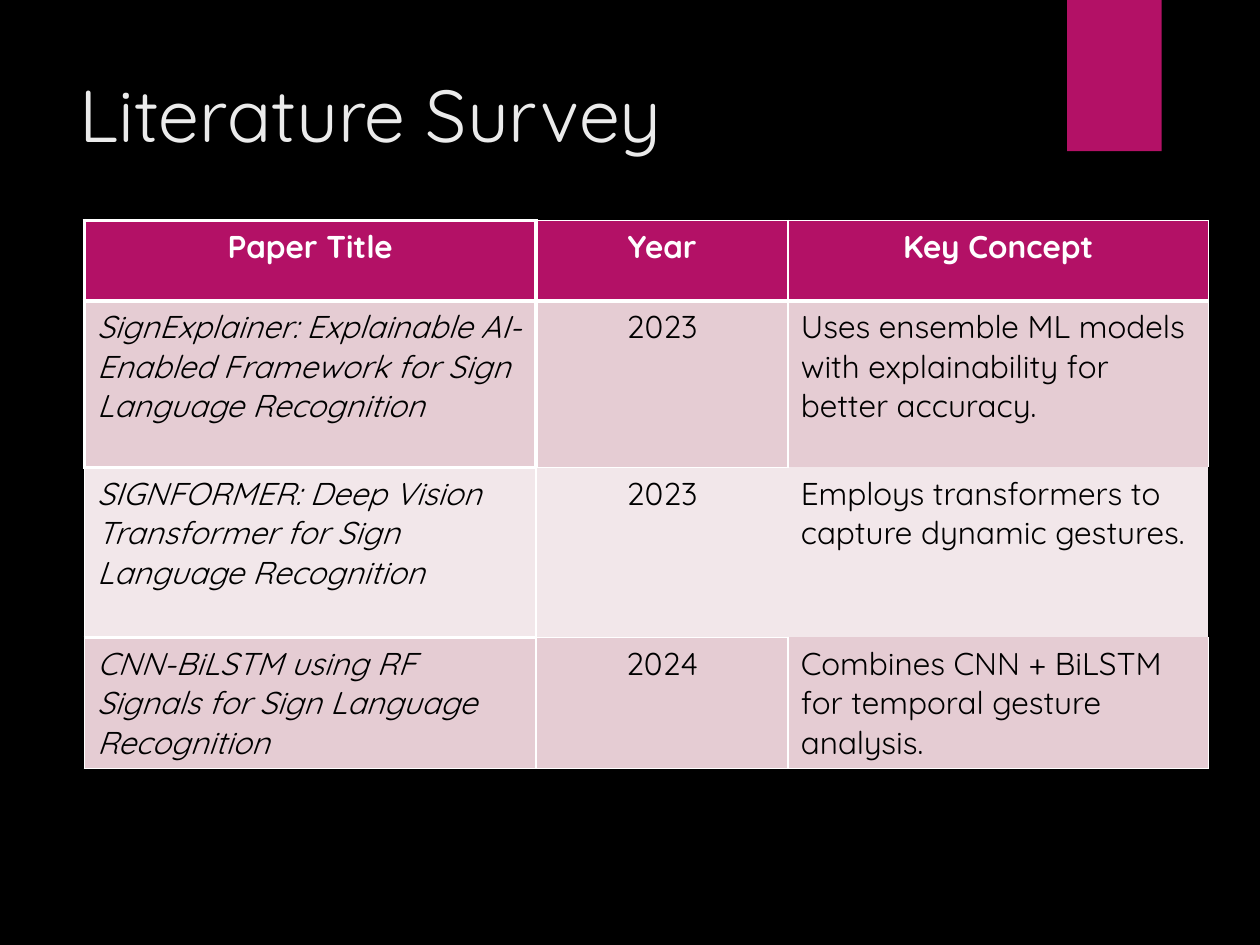
from dataclasses import dataclass

import lxml.etree
import pptx
import pptx.dml.color
import pptx.enum.shapes
import pptx.enum.text
import pptx.oxml.ns
import pptx.util

Inches = pptx.util.Inches
Pt = pptx.util.Pt
ALIGN = pptx.enum.text.PP_ALIGN


@dataclass(frozen=True)
class Theme:
    """Colours, font and type sizes of the slide."""
    background: str = "000000"
    accent: str = "B31166"
    title: str = "EBEBEB"
    header_text: str = "FFFFFF"
    body_text: str = "000000"
    bands: tuple = ("E5CCD3", "F2E7EA")
    border: str = "FFFFFF"
    font: str = "Quicksand"
    title_size: float = 42
    table_size: float = 18


THEME = Theme()
HEADINGS = ("Paper Title", "Year", "Key Concept")
PAPERS = (
    ("SignExplainer: Explainable AI-Enabled Framework for Sign Language Recognition",
     "2023", "Uses ensemble ML models with explainability for better accuracy."),
    ("SIGNFORMER: Deep Vision Transformer for Sign Language Recognition",
     "2023", "Employs transformers to capture dynamic gestures."),
    ("CNN-BiLSTM using RF Signals for Sign Language Recognition",
     "2024", "Combines CNN + BiLSTM for temporal gesture analysis."),
)
COLUMN_WIDTHS = (3.58, 2, 3.33)
ROW_HEIGHTS = (0.64, 1.32, 1.35, 1.04)
EDGES = ("lnL", "lnR", "lnT", "lnB")
BORDER_WIDTHS = (
    ((2.25, 2.25, 2.25, 2.25), (2.25, 1, 1, 3), (1, 1, 1, 3)),
    ((2.25, 2.25, 2.25, 2.25), (2.25, 1, 1, 1), (1, 1, 1, 0)),
    ((1, 1, 2.25, 2.25), (1, 0, 1, 1), (0, 0, 0, 0)),
    ((1, 1, 2.25, 1), (1, 1, 1, 1), (1, 1, 0, 1)),
)


def rgb(code):
    """Turn a hex code into a colour."""
    return pptx.dml.color.RGBColor.from_string(code)


def write(frame, text, *, size, color, align=ALIGN.LEFT, bold=False, italic=False):
    """Put one formatted paragraph into a text frame."""
    paragraph = frame.paragraphs[0]
    paragraph.alignment = align
    run = paragraph.add_run()
    run.text = text
    run.font.name = THEME.font
    run.font.size = Pt(size)
    run.font.bold = bold
    run.font.italic = italic
    run.font.color.rgb = rgb(color)


def set_borders(cell, widths):
    """Draw the left, right, top and bottom borders of a cell; 0 means none."""
    properties = cell._tc.get_or_add_tcPr()
    qn = pptx.oxml.ns.qn
    for position, (edge, width) in enumerate(zip(EDGES, widths)):
        line = lxml.etree.Element(qn(f"a:{edge}"), w=str(Pt(width)))
        if width:
            fill = lxml.etree.SubElement(line, qn("a:solidFill"))
            lxml.etree.SubElement(fill, qn("a:srgbClr"), val=THEME.border)
        else:
            lxml.etree.SubElement(line, qn("a:noFill"))
        properties.insert(position, line)


def add_bookmark(slide, left, top, width, height):
    """Add the accent ribbon hanging from the top edge."""
    ribbon = slide.shapes.add_shape(
        pptx.enum.shapes.MSO_SHAPE.RECTANGLE,
        Inches(left), Inches(top), Inches(width), Inches(height))
    ribbon.shadow.inherit = False
    ribbon.fill.solid()
    ribbon.fill.fore_color.rgb = rgb(THEME.accent)
    ribbon.line.fill.background()


def place_title(slide, text, left, top, width, height):
    """Move the title placeholder into its box and fill it."""
    title = slide.shapes.title
    title.left, title.top = Inches(left), Inches(top)
    title.width, title.height = Inches(width), Inches(height)
    frame = title.text_frame
    frame.word_wrap = True
    frame.auto_size = pptx.enum.text.MSO_AUTO_SIZE.NONE
    frame.vertical_anchor = pptx.enum.text.MSO_ANCHOR.TOP
    write(frame, text, size=THEME.title_size, color=THEME.title)


def add_survey_table(slide, left, top, width, height):
    """Add the table of papers, scaled to the given box."""
    rows = (HEADINGS, *PAPERS)
    table = slide.shapes.add_table(
        len(rows), len(HEADINGS),
        Inches(left), Inches(top), Inches(width), Inches(height)).table
    for column, share in zip(table.columns, COLUMN_WIDTHS):
        column.width = Inches(width * share / sum(COLUMN_WIDTHS))
    for row, share in zip(table.rows, ROW_HEIGHTS):
        row.height = Inches(height * share / sum(ROW_HEIGHTS))
    for row_index, texts in enumerate(rows):
        header = row_index == 0
        fill = THEME.accent if header else THEME.bands[(row_index - 1) % 2]
        for column_index, text in enumerate(texts):
            cell = table.cell(row_index, column_index)
            cell.fill.solid()
            cell.fill.fore_color.rgb = rgb(fill)
            set_borders(cell, BORDER_WIDTHS[row_index][column_index])
            centred = header or column_index == 1
            write(cell.text_frame, text, size=THEME.table_size,
                  color=THEME.header_text if header else THEME.body_text,
                  align=ALIGN.CENTER if centred else ALIGN.LEFT,
                  bold=header, italic=not header and column_index == 0)


def main():
    """Build and save the literature survey slide."""
    deck = pptx.Presentation()
    deck.slide_width, deck.slide_height = Inches(10), Inches(7.5)
    slide = deck.slides.add_slide(deck.slide_layouts[5])
    slide.background.fill.solid()
    slide.background.fill.fore_color.rgb = rgb(THEME.background)
    add_bookmark(slide, 8.47, 0, 0.75, 1.2)
    place_title(slide, "Literature Survey", 0.53, 0.5, 7.72, 1.53)
    add_survey_table(slide, 0.67, 1.75, 8.92, 4.35)
    deck.save("out.pptx")


if __name__ == "__main__":
    main()
